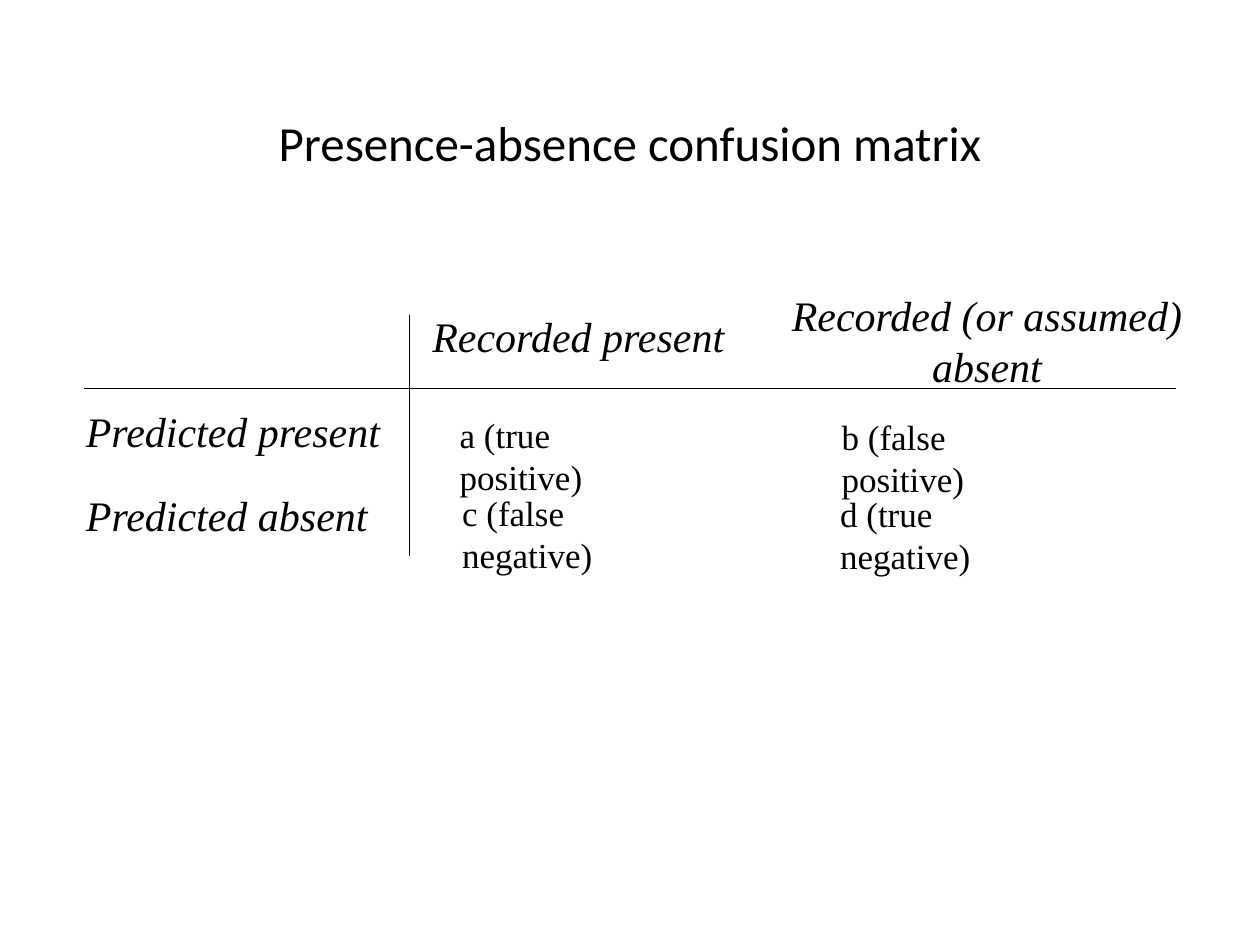
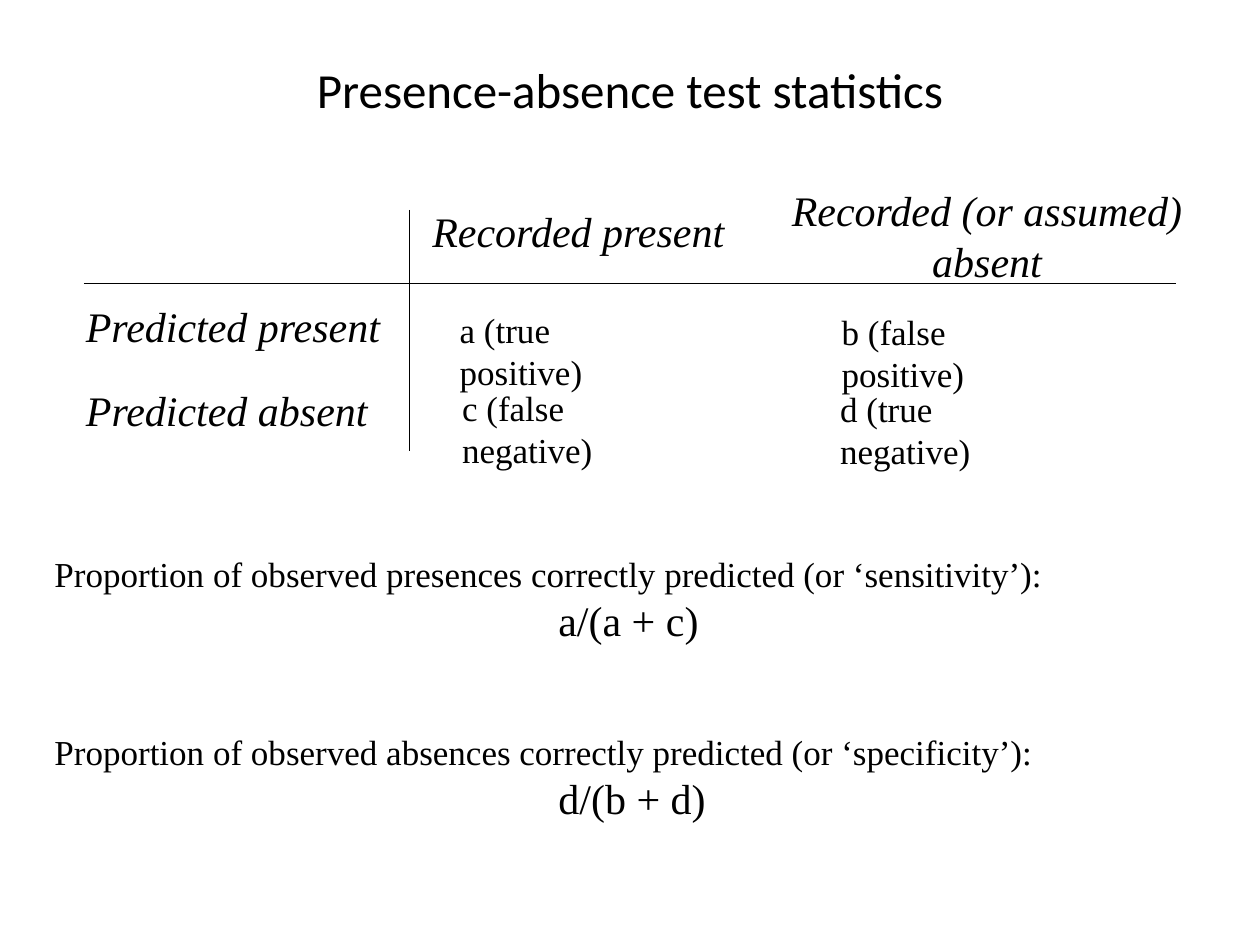
from lxml import etree
from pptx import Presentation
from pptx.dml.color import RGBColor
from pptx.enum.shapes import MSO_CONNECTOR as CONN
from pptx.enum.text import MSO_ANCHOR as ANCHOR, PP_ALIGN as ALIGN
from pptx.oxml.ns import qn
from pptx.util import Pt

BLACK = RGBColor(0x00, 0x00, 0x00)
WHITE = RGBColor(0xFF, 0xFF, 0xFF)
SANS = "Calibri"
SERIF = "Times New Roman"

HEADINGS = [
    ("Predicted present", 0, 66, 186, 36, ALIGN.LEFT),
    ("Predicted absent", 0, 114, 178, 36, ALIGN.LEFT),
    ("Recorded present", 198, 12, 185, 36, ALIGN.LEFT),
    ("Recorded (or assumed) absent", 396, 0, 252, 65, ALIGN.CENTER),
]
OUTCOMES = [
    ("a (true positive)", 213.6, 70.6, 138),
    ("c (false negative)", 215, 115.2, 150),
    ("b (false positive)", 431.8, 72, 146),
    ("d (true negative)", 431, 115.9, 144),
]


def add_run(p, text, size, font=SERIF, italic=False):
    """Append a styled run to a paragraph."""
    r = p.add_run()
    r.text = text
    r.font.size = Pt(size)
    r.font.name = font
    r.font.italic = italic
    r.font.color.rgb = BLACK


def add_box(s, x, y, w, h):
    """Add a wrapping text box and return its text frame."""
    tf = s.shapes.add_textbox(Pt(x), Pt(y), Pt(w), Pt(h)).text_frame
    tf.word_wrap = True
    return tf


def add_rule(s, x1, y1, x2, y2):
    """Draw a thin black line."""
    line = s.shapes.add_connector(CONN.STRAIGHT, Pt(x1), Pt(y1), Pt(x2), Pt(y2))
    line.line.color.rgb = BLACK
    line.line.width = Pt(0.75)
    etree.SubElement(line._element.spPr, qn("a:effectLst"))


def add_title(s, text, y):
    """Add the centred slide title."""
    tf = add_box(s, 120, y, 480, 42)
    tf.vertical_anchor = ANCHOR.MIDDLE
    p = tf.paragraphs[0]
    p.alignment = ALIGN.CENTER
    add_run(p, text, 28, SANS)


def add_matrix(s, x, y):
    """Draw the confusion matrix from its top left corner."""
    for text, dx, dy, w, h, align in HEADINGS:
        p = add_box(s, x + dx, y + dy, w, h).paragraphs[0]
        p.alignment = align
        add_run(p, text, 24, italic=True)
    add_rule(s, x + 6, y + 60, x + 630, y + 60)
    add_rule(s, x + 192, y + 18, x + 192, y + 156)
    for text, dx, dy, w in OUTCOMES:
        p = add_box(s, x + dx, y + dy, w, 31).paragraphs[0]
        add_run(p, text, 20)


def add_statistic(s, x, y, description, formula):
    """Add a statistic's description with its indented formula below."""
    tf = add_box(s, x, y, 684, 60)
    add_run(tf.paragraphs[0], description, 20)
    p = tf.add_paragraph()
    pPr = p._p.get_or_add_pPr()
    pPr.set("marL", str(Pt(288)))
    pPr.set("indent", "0")
    add_run(p, formula, 24)


def add_matrix_slide(prs, title, title_y, matrix_y):
    """Add a white slide with a title and the confusion matrix."""
    s = prs.slides.add_slide(prs.slide_layouts[6])
    s.background.fill.solid()
    s.background.fill.fore_color.rgb = WHITE
    add_title(s, title, title_y)
    add_matrix(s, 42, matrix_y)
    return s


def main():
    """Build and save the presentation."""
    prs = Presentation()
    prs.slide_width, prs.slide_height = Pt(720), Pt(540)
    add_matrix_slide(prs, "Presence-absence confusion matrix", 60, 162)
    s = add_matrix_slide(prs, "Presence-absence test statistics", 30, 102)
    add_statistic(s, 24, 312, "Proportion of observed presences correctly predicted (or ‘sensitivity’):", "a/(a + c)")
    add_statistic(s, 24, 414, "Proportion of observed absences correctly predicted (or ‘specificity’):", "d/(b + d)")
    prs.save("out.pptx")


if __name__ == "__main__":
    main()
